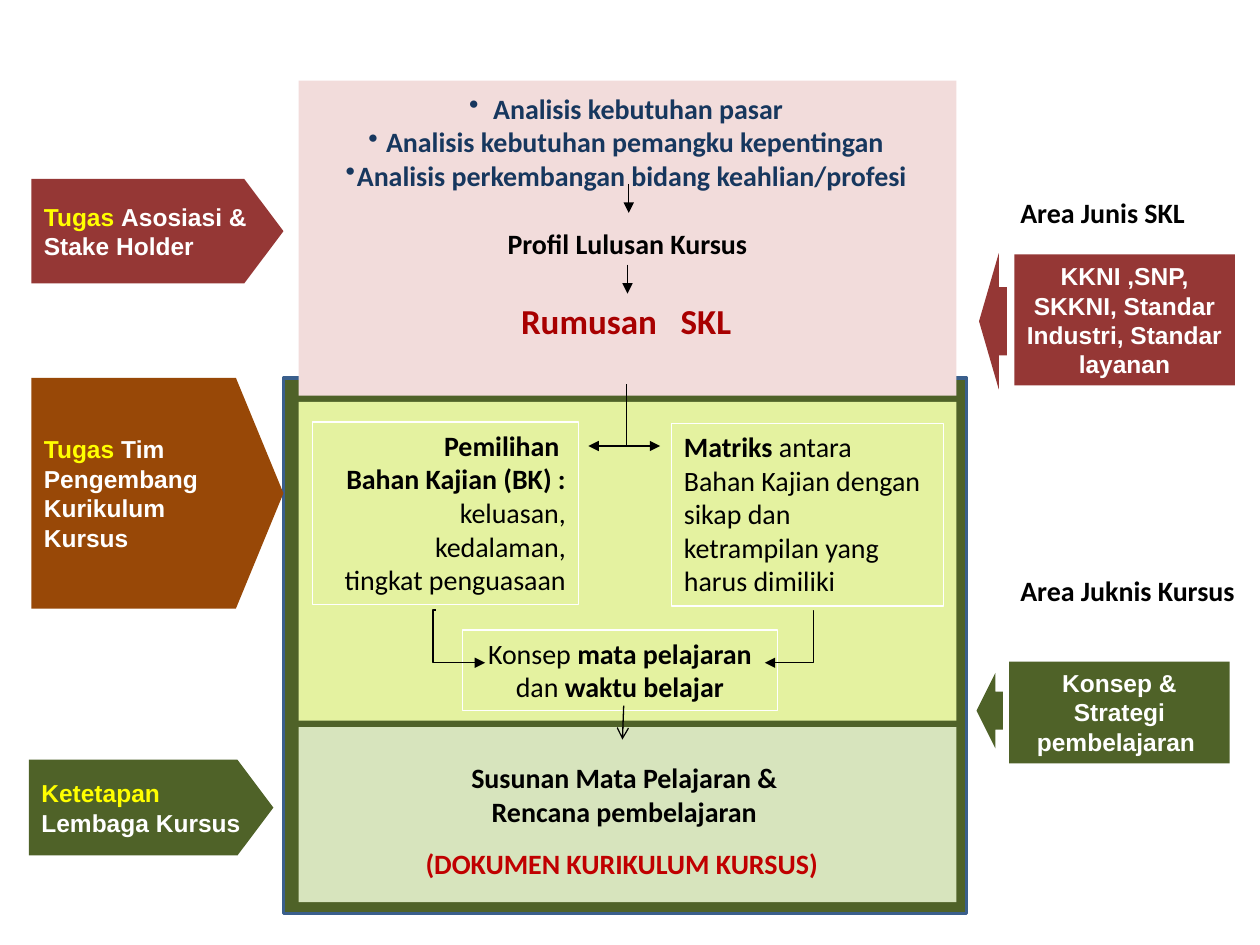
import pptx
import pptx.util
import pptx.dml.color
import pptx.enum.shapes
import pptx.enum.text
import pptx.oxml.ns
import pptx.oxml.xmlchemy

Inches, Pt = pptx.util.Inches, pptx.util.Pt
RGBColor = pptx.dml.color.RGBColor
SHAPE = pptx.enum.shapes.MSO_SHAPE
LINK = pptx.enum.shapes.MSO_CONNECTOR
ALIGN = pptx.enum.text.PP_ALIGN
ANCHOR = pptx.enum.text.MSO_ANCHOR
qn = pptx.oxml.ns.qn
Element = pptx.oxml.xmlchemy.OxmlElement

WHITE = RGBColor(0xFF, 0xFF, 0xFF)
BLACK = RGBColor(0, 0, 0)
YELLOW = RGBColor(0xFF, 0xFF, 0)
NAVY = RGBColor(0x17, 0x37, 0x5E)
BLUE = RGBColor(0x3A, 0x5F, 0x8C)
PINK = RGBColor(0xF2, 0xDC, 0xDB)
MAROON = RGBColor(0x95, 0x37, 0x35)
BROWN = RGBColor(0x98, 0x48, 0x07)
GREEN = RGBColor(0x4F, 0x62, 0x28)
LIME = RGBColor(0xE4, 0xF2, 0xA0)
SAGE = RGBColor(0xD7, 0xE4, 0xBD)
RED = RGBColor(0xC0, 0, 0)
CRIMSON = RGBColor(0xA8, 0, 0)

deck = pptx.Presentation()
deck.slide_width, deck.slide_height = Inches(10), Inches(7.5)
slide = deck.slides.add_slide(deck.slide_layouts[6])


def block(at, fill=None, paras=(), size=16, font="Calibri", align=ALIGN.CENTER,
          edge=None, width=0.75, kind=SHAPE.RECTANGLE, anchor=ANCHOR.TOP):
    """Add a shape, or a text box without fill; paras hold (text, colour, bold) runs."""
    place = [Inches(n) for n in at]
    if fill is None:
        shape = slide.shapes.add_textbox(*place)
    else:
        shape = slide.shapes.add_shape(kind, *place)
        shape.shadow.inherit = False
        shape.fill.solid()
        shape.fill.fore_color.rgb = fill
        if edge is None:
            shape.line.fill.background()
        else:
            shape.line.color.rgb = edge
            shape.line.width = Pt(width)
    frame = shape.text_frame
    frame.word_wrap = True
    frame.vertical_anchor = anchor
    for i, runs in enumerate(paras):
        para = frame.paragraphs[0] if i == 0 else frame.add_paragraph()
        para.alignment = align
        para.font.size, para.font.name = Pt(size), font
        for text, colour, bold in runs:
            if text == "\n":
                para.add_line_break()
                continue
            run = para.add_run()
            run.text = text
            run.font.color.rgb, run.font.bold = colour, bold
    return shape


def link(start, end, head=None, tail=None, bend=None):
    """Add a thin black line; bend is the elbow's place in 1/100000 of its width."""
    kind = LINK.STRAIGHT if bend is None else LINK.ELBOW
    line = slide.shapes.add_connector(kind, *[Inches(n) for n in (*start, *end)])
    line.line.color.rgb = BLACK
    line.line.width = Pt(0.75)
    props = line._element.spPr
    stroke = props.find(qn("a:ln"))
    for tag, tip in (("a:headEnd", head), ("a:tailEnd", tail)):
        if tip:
            mark = Element(tag)
            mark.set("type", tip)
            stroke.append(mark)
    props.append(Element("a:effectLst"))
    if bend is not None:
        guide = Element("a:gd")
        guide.set("name", "adj1")
        guide.set("fmla", f"val {bend}")
        props.find(qn("a:prstGeom")).find(qn("a:avLst")).append(guide)


# Frame and the three stacked panels
block((2.25, 3, 5.42, 4.25), GREEN, edge=BLUE, width=2)
for top, height, fill in ((0.64, 2.5, PINK), (3.19, 2.53, LIME), (5.77, 1.39, SAGE)):
    block((2.37, top, 5.22, height), fill)

# Top panel: needs, profile, SKL
needs = block((2.42, 0.67, 5.1, 0.91), anchor=ANCHOR.MIDDLE, paras=[
    [("Analisis kebutuhan pasar", NAVY, True)],
    [(" Analisis kebutuhan pemangku kepentingan", NAVY, True)],
    [("Analisis perkembangan bidang keahlian/profesi", NAVY, True)]])
for para, indent in zip(needs.text_frame.paragraphs, (0.19, 0.09, 0.09)):
    props = para._p.get_or_add_pPr()
    props.set("marL", str(Inches(indent)))
    props.set("indent", str(-Inches(indent)))
    bullet = Element("a:buChar")
    bullet.set("char", "•")
    props.insert(0, bullet)
block((3.83, 1.75, 2.3, 0.37), paras=[[("Profil Lulusan Kursus", BLACK, True)]])
block((3.55, 2.33, 2.84, 0.44), paras=[[("Rumusan   SKL", CRIMSON, True)]], size=20)
link((4.99, 1.46), (4.99, 1.69), tail="triangle")
link((4.98, 2.1), (4.98, 2.33), tail="triangle")

# Middle panel: study material, matrix, concept
link((4.67, 3.54), (5.24, 3.54), head="triangle", tail="triangle")
link((4.97, 3.05), (4.97, 3.53))
study = block((2.48, 3.35, 2.11, 1.45), LIME, edge=WHITE, align=ALIGN.RIGHT, paras=[
    [("Pemilihan ", BLACK, True)],
    [("Bahan Kajian (BK) :", BLACK, True)],
    [("keluasan,", BLACK, False)],
    [("kedalaman,", BLACK, False)],
    [("tingkat penguasaan", BLACK, False)]])
for para in study.text_frame.paragraphs:
    para._p.get_or_add_pPr().set("marL", str(Inches(0.12)))
block((5.33, 3.36, 2.16, 1.45), LIME, edge=WHITE, align=ALIGN.LEFT, paras=[
    [("Matriks ", BLACK, True), ("antara", BLACK, False), ("\n", BLACK, False),
     ("Bahan Kajian dengan sikap dan ketrampilan yang harus dimiliki", BLACK, False)]])
block((3.67, 5, 2.5, 0.64), LIME, edge=WHITE, paras=[
    [("Konsep ", BLACK, False), ("mata pelajaran ", BLACK, True),
     ("dan ", BLACK, False), ("waktu belajar", BLACK, True)]])
link((3.46, 4.84), (3.85, 5.26), tail="triangle", bend=-6000)
link((6.45, 4.85), (6.07, 5.26), tail="triangle", bend=-1900)

# Bottom panel: course document
block((3.54, 5.99, 2.83, 0.64), SAGE, paras=[
    [("Susunan Mata Pelajaran &", BLACK, True)],
    [("Rencana pembelajaran", BLACK, True)]])
link((4.95, 5.6), (4.94, 5.87), tail="arrow")
block((3.17, 6.67, 3.58, 0.36), SAGE,
      [[("(DOKUMEN KURIKULUM KURSUS) ", RED, True)]])

# Left tags: who does the task
tags = (
    ((0.25, 1.42, 2, 0.83), MAROON, 0.375,
     [[("Tugas ", YELLOW, True), ("Asosiasi & Stake Holder", WHITE, True)]]),
    ((0.25, 3, 2, 1.83), BROWN, 0.206,
     [[("Tugas", YELLOW, True), (" Tim", WHITE, True)],
      [("Pengembang Kurikulum Kursus", WHITE, True)]]),
    ((0.23, 6.03, 1.94, 0.76), GREEN, 0.375,
     [[("Ketetapan ", YELLOW, True), ("Lembaga Kursus", WHITE, True)]]),
)
for at, fill, point, paras in tags:
    tag = block(at, fill, paras, 14, "Arial", ALIGN.LEFT,
                kind=SHAPE.PENTAGON, anchor=ANCHOR.MIDDLE)
    tag.adjustments[0] = point

# Right notes with arrows to the panels
notes = (
    ((8.05, 2.02, 1.75, 1.04), (7.77, 2.01, 0.22, 1.08), MAROON, ANCHOR.MIDDLE,
     "KKNI ,SNP, SKKNI, Standar Industri, Standar layanan"),
    ((8.01, 5.25, 1.75, 0.81), (7.75, 5.34, 0.21, 0.6), GREEN, ANCHOR.TOP,
     "Konsep & Strategi pembelajaran "),
)
for at, spot, fill, anchor, text in notes:
    block(at, fill, [[(text, WHITE, True)]], 14, "Arial", anchor=anchor)
    arrow = block(spot, fill, kind=SHAPE.LEFT_ARROW)
    arrow.adjustments[0], arrow.adjustments[1] = 0.5, 0.713

# Area labels
for top, width, text in ((1.5, 1.7, "Area Junis SKL"), (4.5, 2, "Area Juknis Kursus")):
    block((8, top, width, 0.37), paras=[[(text, BLACK, True)]], align=ALIGN.LEFT)

deck.save("out.pptx")
